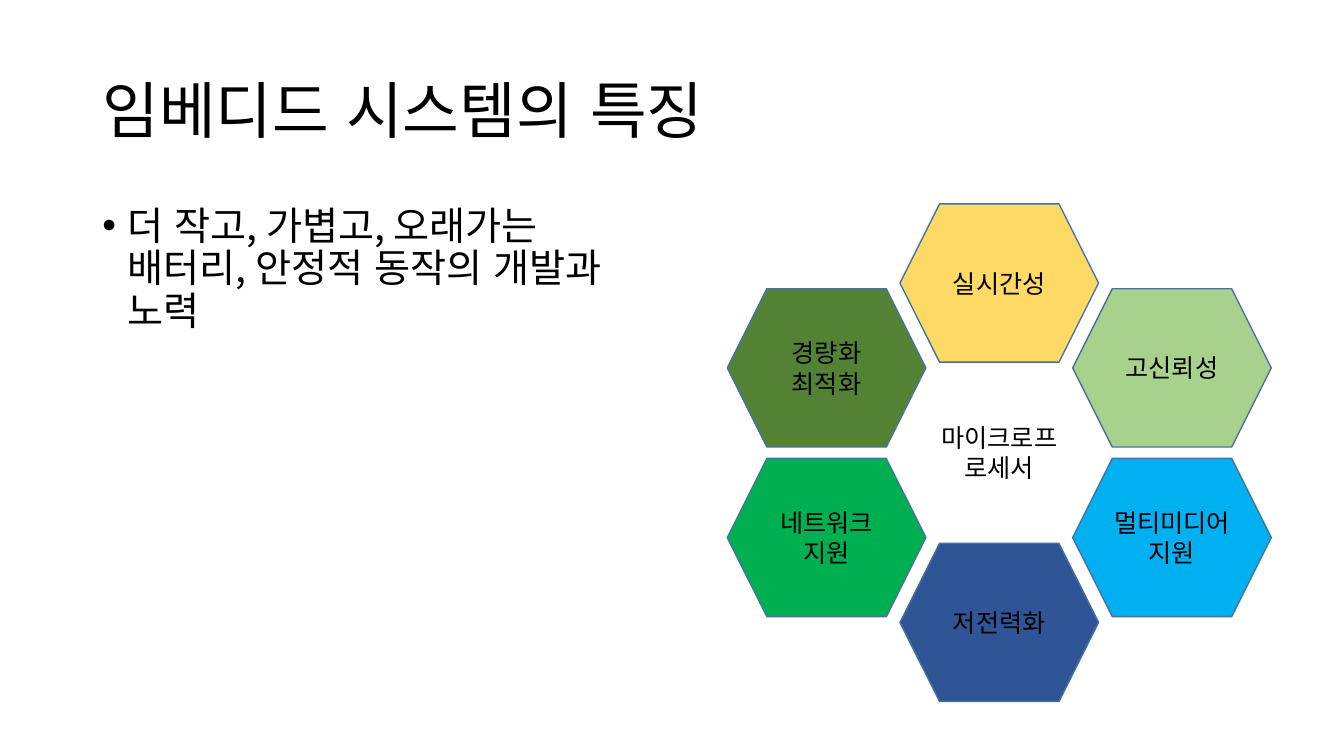
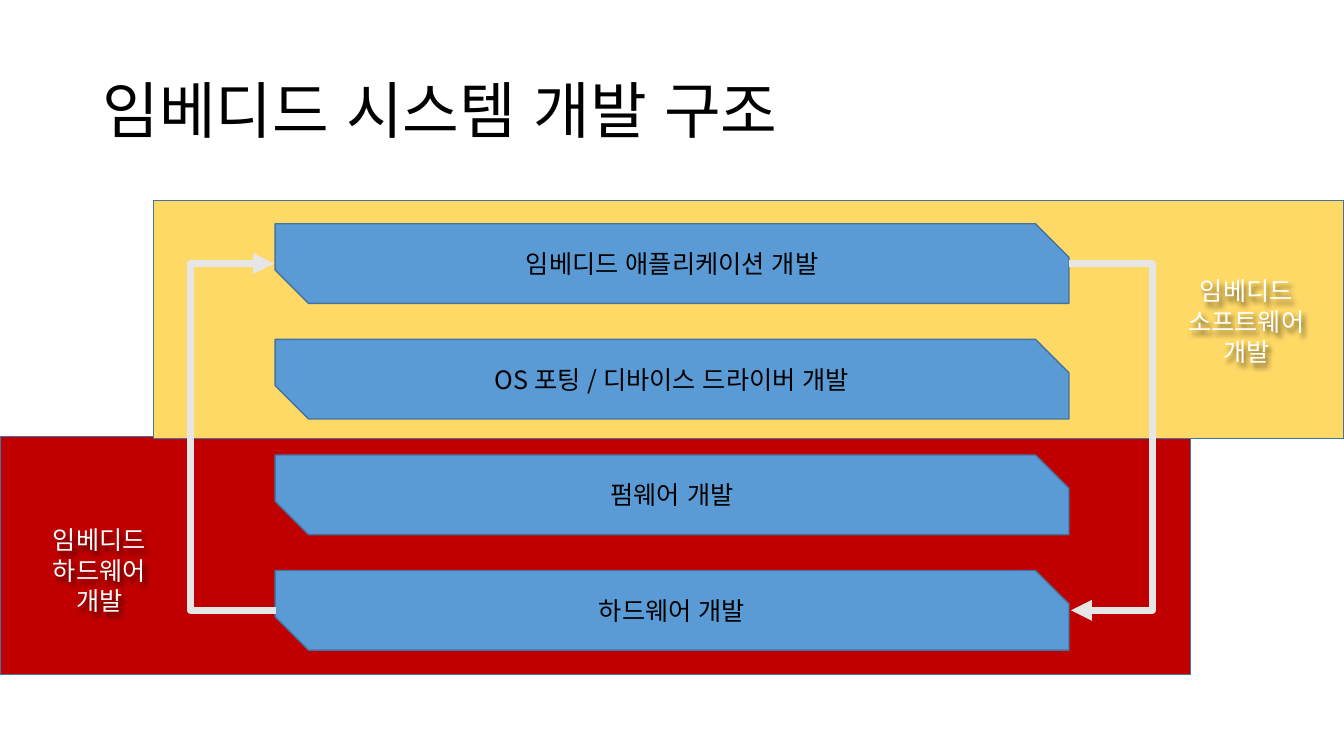
from lxml import etree
from pptx import Presentation
from pptx import util as u
from pptx.dml.color import RGBColor
from pptx.enum import lang, shapes, text
from pptx.oxml import parse_xml
from pptx.oxml.ns import nsdecls, qn

INK = {
    "black": "000000", "white": "FFFFFF", "edge": "43739E", "arrow": "E7E6E6",
    "moss": "548235", "sky": "00B0F0", "green": "00B050", "gold": "FFD966",
    "sage": "A9D18E", "navy": "2F5597", "blue": "5B9BD5", "red": "C00000",
}
FONT = "Noto Sans CJK KR"
COLS, ROWS = 80, 45
KINDS = shapes.MSO_SHAPE
MID = text.PP_ALIGN.CENTER


class Deck:
    def __init__(self):
        self.prs = Presentation()
        self.prs.slide_width = u.Inches(13.33)
        self.prs.slide_height = u.Inches(7.5)
        self.slide = None

    def grid(self, x, y):
        return (u.Emu(round(x * self.prs.slide_width / COLS)),
                u.Emu(round(y * self.prs.slide_height / ROWS)))

    def page(self):
        self.slide = self.prs.slides.add_slide(self.prs.slide_layouts[6])

    def fill_text(self, frame, lines, size=18, ink="black", align=MID,
                  anchor=text.MSO_ANCHOR.MIDDLE):
        frame.word_wrap = True
        frame.vertical_anchor = anchor
        for i, line in enumerate(lines):
            para = frame.add_paragraph() if i else frame.paragraphs[0]
            para.alignment = align
            run = para.add_run()
            run.text = line
            font = run.font
            font.size = u.Pt(size)
            font.color.rgb = RGBColor.from_string(INK[ink])
            font.name = FONT
            font.language_id = lang.MSO_LANGUAGE_ID.KOREAN
            face = etree.Element(qn("a:ea"), typeface=FONT)
            run._r.rPr.find(qn("a:latin")).addnext(face)
        return frame.paragraphs[0]

    def box(self, x, y, w, h, lines, **style):
        item = self.slide.shapes.add_textbox(*self.grid(x, y), *self.grid(w, h))
        return item, self.fill_text(item.text_frame, lines, **style)

    def head(self, title):
        para = self.box(5.5, 2.4, 69, 8.7, [title], size=44,
                        align=text.PP_ALIGN.LEFT)[1]
        para.line_spacing = 0.9

    def bullet(self, x, y, w, h, line):
        para = self.box(x, y, w, h, [line], size=28, align=text.PP_ALIGN.LEFT,
                        anchor=text.MSO_ANCHOR.TOP)[1]
        para.line_spacing = 0.9
        para.space_before = u.Pt(10)
        props = para._p.get_or_add_pPr()
        props.set("marL", str(u.Inches(0.25)))
        props.set("indent", str(u.Inches(-0.25)))
        etree.SubElement(props, qn("a:buFont"), typeface="Arial")
        etree.SubElement(props, qn("a:buChar"), char="•")

    def shape(self, kind, x, y, w, h, fill, line=None, edge="edge"):
        item = self.slide.shapes.add_shape(kind, *self.grid(x, y), *self.grid(w, h))
        item.shadow.inherit = False
        item.fill.solid()
        item.fill.fore_color.rgb = RGBColor.from_string(INK[fill])
        item.line.color.rgb = RGBColor.from_string(INK[edge])
        item.line.width = u.Pt(1)
        if line:
            self.fill_text(item.text_frame, [line])
        return item

    def label(self, x, y, w, h, lines):
        item = self.box(x, y, w, h, lines, ink="white")[0]
        item._element.spPr.append(parse_xml(
            f'<a:effectLst {nsdecls("a")}><a:outerShdw blurRad="50800" '
            'dist="50800" dir="3600000" algn="tl" rotWithShape="0">'
            '<a:srgbClr val="000000"><a:alpha val="60000"/></a:srgbClr>'
            '</a:outerShdw></a:effectLst>'))

    def loop(self, x, top, end, bend, turn=0):
        width = 0.12
        line = self.slide.shapes.add_connector(
            shapes.MSO_CONNECTOR.ELBOW, *self.grid(x, top), *self.grid(x + width, end))
        line.line.color.rgb = RGBColor.from_string(INK["arrow"])
        line.line.width = u.Pt(5)
        props = line._element.spPr
        props.find(qn("a:xfrm")).set("rot", str(turn * 60000))
        guides = props.find(qn("a:prstGeom")).find(qn("a:avLst"))
        ratio = round(bend / width * 100000)
        etree.SubElement(guides, qn("a:gd"), name="adj1", fmla=f"val {ratio}")
        etree.SubElement(props.find(qn("a:ln")), qn("a:tailEnd"), type="triangle")
        etree.SubElement(props, qn("a:effectLst"))


def traits(deck):
    deck.page()
    deck.head("임베디드 시스템의 특징")
    deck.bullet(5.5, 12, 32.2, 11.3,
                "더 작고, 가볍고, 오래가는 배터리, 안정적 동작의 개발과 노력")
    ring = [
        (-1, -1, "moss", "경량화 최적화"), (1, 1, "sky", "멀티미디어 지원"),
        (-1, 1, "green", "네트워크 지원"), (0, -2, "gold", "실시간성"),
        (1, -1, "sage", "고신뢰성"), (0, 2, "navy", "저전력화"),
        (0, 0, "white", "마이크로프로세서"),
    ]
    for col, row, fill, line in ring:
        deck.shape(KINDS.HEXAGON, 53.57 + col * 10.28, 22.24 + row * 5.05,
                   11.82, 9.42, fill, line, "edge" if col or row else "white")


def stack(deck):
    deck.page()
    wide, tall = 70.86, 14.16
    deck.shape(KINDS.RECTANGLE, 0, 26, wide, tall, "red")
    deck.shape(KINDS.RECTANGLE, COLS - wide, 11.95, wide, tall, "gold")
    deck.head("임베디드 시스템 개발 구조")
    left, top, step, width, height = 16.38, 13.32, 6.88, 47.25, 4.74
    bars = ["임베디드 애플리케이션 개발", "OS 포팅 / 디바이스 드라이버 개발",
            "펌웨어 개발", "하드웨어 개발"]
    for i, line in enumerate(bars):
        bar = deck.shape(KINDS.SNIP_2_DIAG_RECTANGLE, left, top + i * step,
                         width, height, "blue", line)
        bar.adjustments[0] = 0
        bar.adjustments[1] = 0.42
    first = top + height / 2
    last = first + step * (len(bars) - 1)
    deck.loop(left + width, first, last, 4.95)
    deck.loop(left - 0.06, first, last, 5.1, 180)
    deck.label(69.72, 13.32, 8.94, 11.58, ["임베디드 소프트웨어", "개발"])
    deck.label(1.44, 28.14, 8.94, 11.58, ["임베디드 하드웨어", "개발"])


def main():
    deck = Deck()
    traits(deck)
    stack(deck)
    deck.prs.save("out.pptx")


if __name__ == "__main__":
    main()
